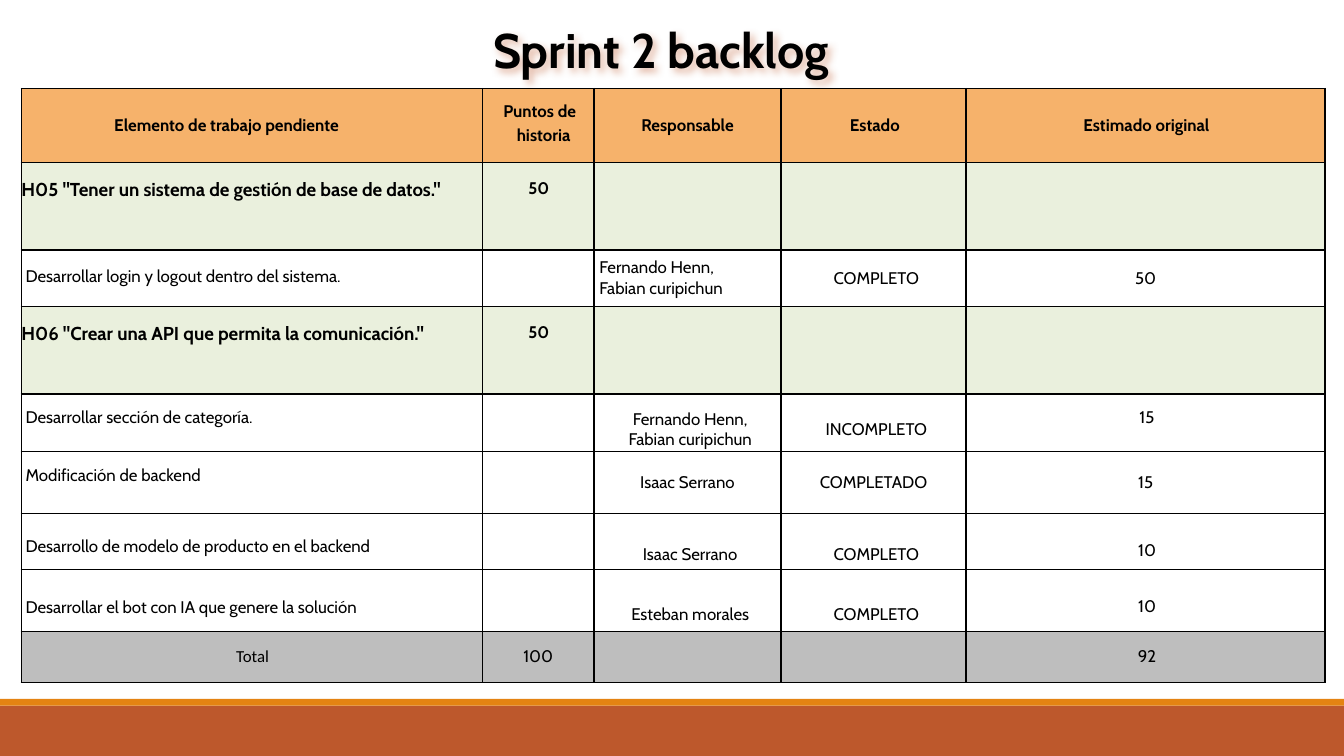
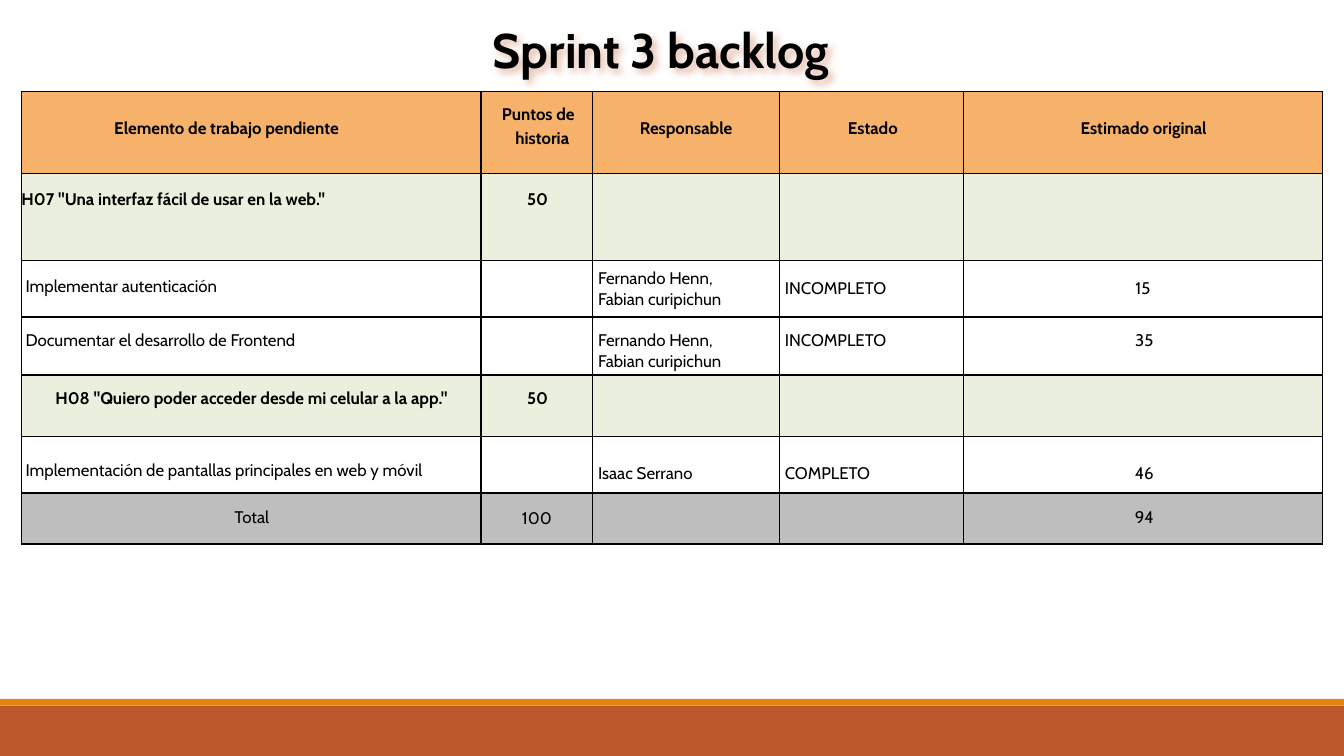
from typing import NamedTuple

from lxml.etree import SubElement
from pptx import Presentation
from pptx.dml.color import RGBColor
from pptx.enum.shapes import MSO_SHAPE as Shape
from pptx.enum.text import MSO_ANCHOR as Anchor, PP_ALIGN as Align
from pptx.oxml import parse_xml
from pptx.oxml.ns import nsdecls, qn
from pptx.util import Inches, Pt

BLACK, WHITE = "000000", "FFFFFF"
RUST, ORANGE = "BD582C", "E48312"
PEACH, SAGE, GREY = "F6B26B", "EAF0DD", "BEBEBE"
TEAM = "Fernando Henn,\nFabian curipichun"


def color(value):
    return RGBColor.from_string(value)


class Entry(NamedTuple):
    """Text of one table cell with its placement."""
    text: str = ""
    top: float = 0
    left: float = 0
    hanging: float = 0
    centered: bool = True
    middle: bool = False
    bold: bool = False
    size: float = 9
    font: str = "Cabin"
    spacing: float = 1


class Row(NamedTuple):
    """One table row: its height, fill and entries."""
    height: float
    fill: str
    entries: list


def header(height):
    def heading(text, **place):
        return Entry(text, **{"top": 0.2, "bold": True, **place})

    return Row(height, PEACH, [
        heading("Elemento de trabajo pendiente", left=0.69, centered=False),
        heading("Puntos de historia", top=0.07, left=0.08, hanging=-0.06, spacing=1.18),
        heading("Responsable"),
        heading("Estado", left=0.02),
        heading("Estimado original", left=0.01),
    ])


def story(height, title, top=0.12, size=9, centered=False):
    return Row(height, SAGE, [
        Entry(title, top, centered=centered, bold=True, size=size),
        Entry("50", top, left=0.01, bold=True),
        Entry(), Entry(), Entry(),
    ])


def task(height, name, owner, state, estimate, fill=WHITE):
    return Row(height, fill, [
        name._replace(left=0.03, centered=False), Entry(), owner, state, estimate,
    ])


def total(height, estimate, font="Cabin"):
    return Row(height, GREY, [
        Entry("Total", 0.11, 0.01, font=font), Entry("100", middle=True),
        Entry(), Entry(), Entry(estimate, 0.11, 0.02),
    ])


class Deck:
    """Holds the deck style and the current slide."""

    def __init__(self):
        self.presentation = Presentation()
        self.presentation.slide_width = Inches(10)
        self.presentation.slide_height = Inches(10) * 9 // 16
        self.slide = None

    def add_slide(self, title):
        self.slide = self.presentation.slides.add_slide(self.presentation.slide_layouts[6])
        self.band(5.25, 0.38, RUST)
        self.band(5.2, 0.05, ORANGE)
        self.title(title)

    def band(self, top, height, fill):
        band = self.slide.shapes.add_shape(
            Shape.RECTANGLE, 0, Inches(top), Inches(10), Inches(height))
        band.shadow.inherit = False
        band.fill.solid()
        band.fill.fore_color.rgb = color(fill)
        band.line.fill.background()

    def style(self, paragraph, size, bold, font="Cabin"):
        paragraph.font.size = Pt(size)
        paragraph.font.bold = bold
        paragraph.font.name = font
        paragraph.font.color.rgb = color(BLACK)

    def title(self, text):
        box = self.slide.shapes.add_textbox(
            Inches(0.7), Inches(0.05), Inches(8.44), Inches(0.63))
        box._element.spPr.append(parse_xml(
            f'<a:effectLst {nsdecls("a")}><a:outerShdw blurRad="50800" dist="25400" '
            f'dir="2700000"><a:srgbClr val="{RUST}"><a:alpha val="40000"/></a:srgbClr>'
            '</a:outerShdw></a:effectLst>'))
        frame = box.text_frame
        frame.word_wrap = True
        frame.vertical_anchor = Anchor.MIDDLE
        frame.text = text
        heading = frame.paragraphs[0]
        heading.alignment = Align.CENTER
        self.style(heading, 26, True)

    def backlog(self, top, widths, rows):
        table = self.slide.shapes.add_table(
            len(rows), len(widths), Inches(0.16), Inches(top),
            Inches(sum(widths)), Inches(sum(row.height for row in rows))).table
        table.first_row = table.horz_banding = False
        for column, width in zip(table.columns, widths):
            column.width = Inches(width)
        for line, row in zip(table.rows, rows):
            line.height = Inches(row.height)
            for cell, entry in zip(line.cells, row.entries):
                self.border(cell)
                self.fill_cell(cell, row.fill, entry)

    def border(self, cell):
        properties = cell._tc.get_or_add_tcPr()
        for side in ("lnL", "lnR", "lnT", "lnB"):
            edge = SubElement(properties, qn(f"a:{side}"), w=str(Pt(1)))
            SubElement(SubElement(edge, qn("a:solidFill")), qn("a:srgbClr"), val=BLACK)

    def fill_cell(self, cell, fill, entry):
        if fill:
            cell.fill.solid()
            cell.fill.fore_color.rgb = color(fill)
        else:
            cell.fill.background()
        cell.margin_left = cell.margin_right = cell.margin_bottom = 0
        cell.margin_top = Inches(entry.top)
        cell.vertical_anchor = Anchor.MIDDLE if entry.middle else Anchor.TOP
        cell.text_frame.text = entry.text
        for paragraph in cell.text_frame.paragraphs:
            paragraph.alignment = Align.CENTER if entry.centered else Align.LEFT
            paragraph.line_spacing = entry.spacing
            indents = paragraph._p.get_or_add_pPr()
            indents.set("marL", str(Inches(entry.left)))
            indents.set("indent", str(Inches(entry.hanging)))
            self.style(paragraph, entry.size, entry.bold, entry.font)


def main():
    deck = Deck()

    def centered(text, top=0.0, left=0.04):
        return Entry(text, top, left, middle=True)

    def flush(text, top=0.0, middle=False):
        return Entry(text, top, 0.04, centered=False, middle=middle)

    deck.add_slide("Sprint 2 backlog")
    deck.backlog(0.66, [3.43, 0.83, 1.39, 1.38, 2.67], [
        header(0.55),
        story(0.65, 'H05 "Tener un sistema de gestión de base de datos."', size=10),
        task(0.42, Entry("Desarrollar login y logout dentro del sistema.", 0.12),
             flush(TEAM, middle=True), centered("COMPLETO"), centered("50", left=0)),
        story(0.65, 'H06 "Crear una API que permita la comunicación."', size=10),
        task(0.43, Entry("Desarrollar sección de categoría.", 0.1),
             centered(TEAM, 0.1), centered("INCOMPLETO", 0.1), Entry("15", 0.1, 0.02), None),
        task(0.46, Entry("Modificación de backend", 0.1),
             centered("Isaac Serrano", left=0), centered("COMPLETADO", left=0),
             centered("15", left=0)),
        task(0.42, centered("Desarrollo de modelo de producto en el backend", 0.08),
             centered("Isaac Serrano", 0.2), centered("COMPLETO", 0.2), Entry("10", 0.2, 0.02)),
        task(0.46, Entry("Desarrollar el bot con IA que genere la solución", 0.08,
                         middle=True, spacing=1.18),
             centered("Esteban morales", 0.2), centered("COMPLETO", 0.2),
             Entry("10", 0.2, 0.02)),
        total(0.38, "92", "Calibri"),
    ])

    deck.add_slide("Sprint 3 backlog")
    deck.backlog(0.68, [3.42, 0.83, 1.39, 1.37, 2.67], [
        header(0.61),
        story(0.65, 'H07 "Una interfaz fácil de usar en la web."'),
        task(0.42, Entry("Implementar autenticación", 0.12),
             flush(TEAM, middle=True), flush("INCOMPLETO", middle=True),
             centered("15", left=0)),
        task(0.43, Entry("Documentar el desarrollo de Frontend", 0.1),
             flush(TEAM, 0.1), flush("INCOMPLETO", 0.1), Entry("35", 0.1, 0.02), None),
        story(0.46, 'H08 "Quiero poder acceder desde mi celular a la app."', 0.1, centered=True),
        task(0.42, centered("Implementación de pantallas principales en web y móvil", 0.08),
             flush("Isaac Serrano", 0.2), flush("COMPLETO", 0.2), Entry("46", 0.2, 0.02), None),
        total(0.38, "94"),
    ])

    deck.presentation.save("out.pptx")


if __name__ == "__main__":
    main()
